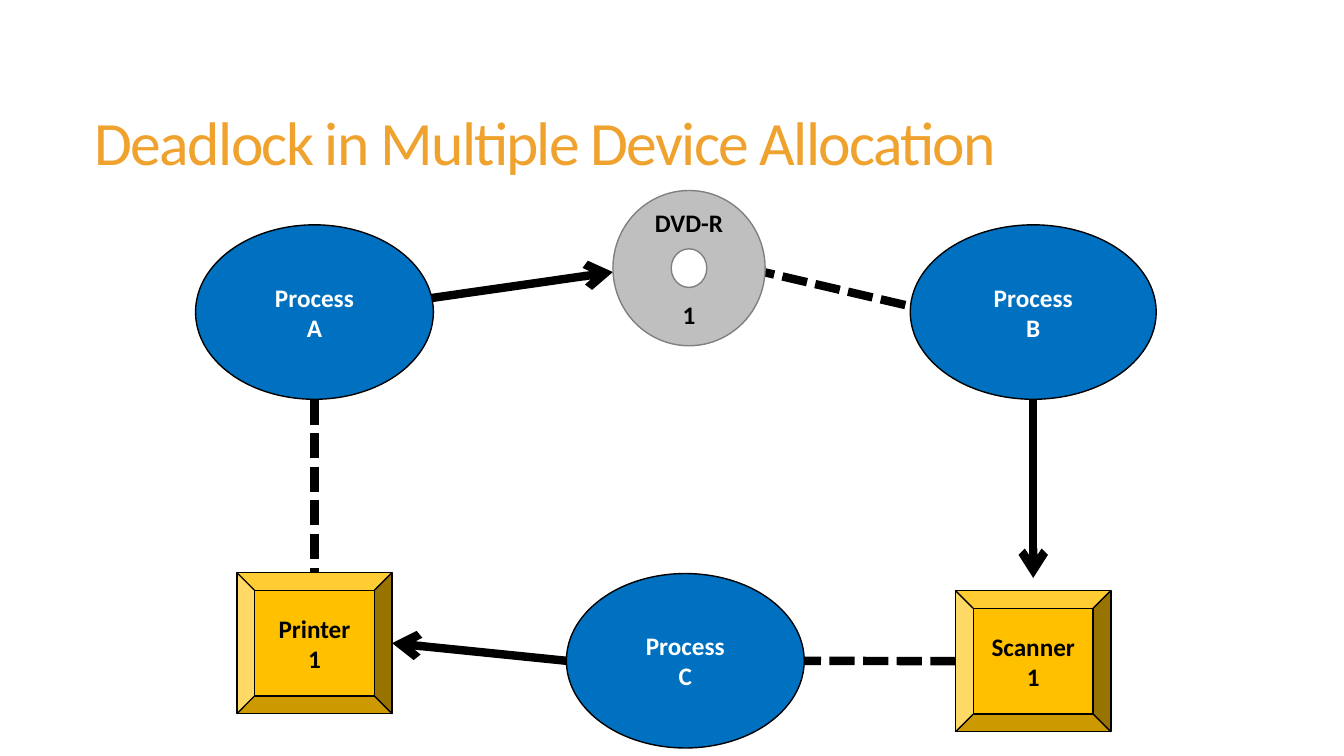
import pptx
import pptx.util
import pptx.dml.color
import pptx.enum.shapes
import pptx.enum.text
import pptx.oxml.ns
import lxml.etree

Pt = pptx.util.Pt
SHAPES = pptx.enum.shapes.MSO_SHAPE
ALIGN = pptx.enum.text.PP_ALIGN
COLORS = {
    "title": "F0A22E",
    "process": "0070C0",
    "disc": "BFBFBF",
    "disc_edge": "808080",
    "device": "FFC000",
    "black": "000000",
    "white": "FFFFFF",
}
PROCESS_SIZE = (169.9, 124.6)
DEVICE_SIZE = (110.9, 100.8)
BOXES = {
    "A": (139.7, 160.6, *PROCESS_SIZE),
    "B": (650.2, 160.6, 175.7, 124.6),
    "C": (404.6, 409.7, *PROCESS_SIZE),
    "disc": (437.8, 136.1, 108.7, 110.9),
    "scanner": (682.6, 421.9, *DEVICE_SIZE),
    "printer": (169.2, 409, *DEVICE_SIZE),
}
REQUESTS = [
    ("A", (0.99, 0.42), "disc", (0, 0.525)),
    ("B", (0.5, 1), "scanner", (0.5, -0.09)),
    ("C", (0, 0.5), "printer", (1, 0.5)),
]
ALLOCATIONS = [
    ("B", (-0.02, 0.46), "disc", (0.99, 0.525)),
    ("A", (0.5, 1), "printer", (0.5, 0.05)),
    ("scanner", (0, 0.5), "C", (1, 0.5)),
]


def rgb(name):
    return pptx.dml.color.RGBColor.from_string(COLORS[name])


def add_xml(parent, tag, **attributes):
    return lxml.etree.SubElement(parent, pptx.oxml.ns.qn(tag), attributes)


def write_text(frame, lines, size=18, color="black", bold=True,
               align=ALIGN.CENTER, gap=0, line_spacing=None, tracking=None):
    frame.word_wrap = True
    frame.vertical_anchor = pptx.enum.text.MSO_ANCHOR.MIDDLE
    for index, line in enumerate(lines):
        paragraph = frame.paragraphs[0] if index == 0 else frame.add_paragraph()
        paragraph.alignment = align
        if line_spacing:
            paragraph.line_spacing = line_spacing
        if index and gap:
            paragraph.space_before = Pt(gap)
        run = paragraph.add_run()
        run.text = line
        run.font.name = "Calibri"
        run.font.size = Pt(size)
        run.font.bold = bold
        run.font.color.rgb = rgb(color)
        if tracking:
            run.font._element.set("spc", str(tracking))


def add_title(slide, box):
    title = slide.shapes.title
    title.left, title.top, title.width, title.height = map(Pt, box)
    write_text(title.text_frame, ["Deadlock in Multiple Device Allocation"],
               size=44, color="title", bold=False, align=ALIGN.LEFT,
               line_spacing=0.85, tracking=-120)
    properties = title.text_frame.paragraphs[0]._p.get_or_add_pPr()
    properties.set("marL", str(Pt(49)))
    properties.set("indent", str(Pt(-40.3)))


def add_node(slide, box, preset, fill, lines, edge="black", **text_format):
    node = slide.shapes.add_shape(preset, *map(Pt, box))
    node.shadow.inherit = False
    node.fill.solid()
    node.fill.fore_color.rgb = rgb(fill)
    node.line.color.rgb = rgb(edge)
    node.line.width = Pt(1)
    write_text(node.text_frame, lines, **text_format)
    return node


def add_process(slide, box, letter):
    add_node(slide, box, SHAPES.OVAL, "process", ["Process", letter], color="white")


def add_device(slide, box, lines):
    add_node(slide, box, SHAPES.BEVEL, "device", lines)


def add_disc(slide, box):
    disc = add_node(slide, box, SHAPES.DONUT, "disc", ["DVD-R", "1"],
                    edge="disc_edge", gap=44)
    disc.adjustments[0] = 0.383


def point_in(box, fraction):
    left, top, width, height = box
    return Pt(left + width * fraction[0]), Pt(top + height * fraction[1])


def add_link(slide, start_box, start, end_box, end, dashed):
    link = slide.shapes.add_connector(
        pptx.enum.shapes.MSO_CONNECTOR.STRAIGHT,
        *point_in(start_box, start), *point_in(end_box, end))
    link.line.color.rgb = rgb("black")
    link.line.width = Pt(6)
    outline = link.line._get_or_add_ln()
    if dashed:
        add_xml(outline, "a:prstDash", val="sysDash")
    else:
        add_xml(outline, "a:tailEnd", type="arrow")
    add_xml(link._element.spPr, "a:effectLst")


def add_deadlock_cycle(slide, boxes):
    for links, dashed in ((REQUESTS, False), (ALLOCATIONS, True)):
        for source, start, target, end in links:
            add_link(slide, boxes[source], start, boxes[target], end, dashed)
    for letter in "ABC":
        add_process(slide, boxes[letter], letter)
    add_disc(slide, boxes["disc"])
    add_device(slide, boxes["scanner"], ["Scanner 1"])
    add_device(slide, boxes["printer"], ["Printer", "1"])


def main():
    presentation = pptx.Presentation()
    presentation.slide_width = Pt(960)
    presentation.slide_height = Pt(540)
    slide = presentation.slides.add_slide(presentation.slide_layouts[5])
    add_title(slide, (51.8, 39.6, 848.2, 130.3))
    add_deadlock_cycle(slide, BOXES)
    presentation.save("out.pptx")


if __name__ == "__main__":
    main()
